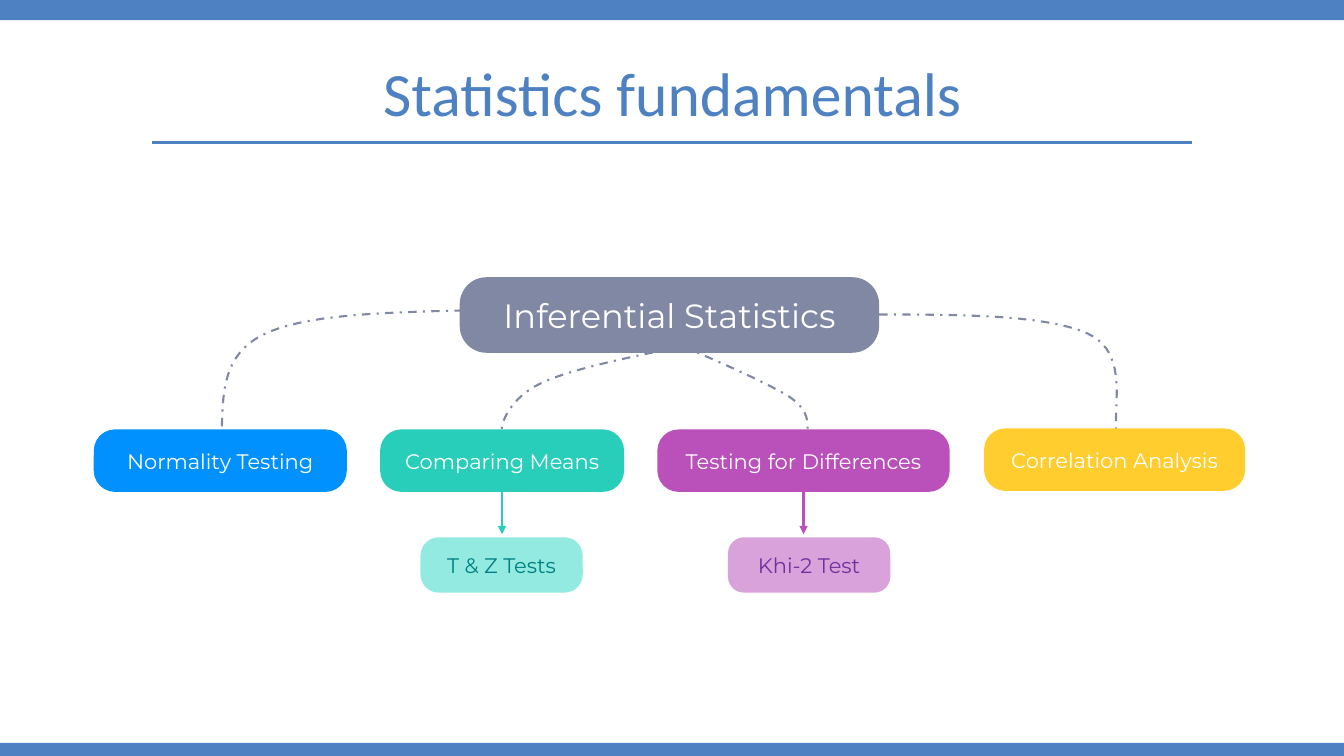
from pptx import Presentation
from pptx.dml.color import RGBColor as RGB
from pptx.enum.dml import MSO_LINE as Dash
from pptx.enum.shapes import MSO_CONNECTOR as Conn, MSO_SHAPE as Kind
from pptx.enum.text import MSO_ANCHOR as Anchor, PP_ALIGN as Align
from pptx.oxml.ns import qn
from pptx.util import Inches, Pt
from lxml.etree import SubElement as Sub

BLUE = RGB(0x4E, 0x81, 0xC2)
GREY = RGB(0x81, 0x88, 0xA4)
SKY = RGB(0x00, 0x91, 0xFE)
MINT = RGB(0x28, 0xCE, 0xBA)
PLUM = RGB(0xBA, 0x50, 0xB9)
GOLD = RGB(0xFF, 0xCD, 0x2D)
AQUA = RGB(0x92, 0xEA, 0xE0)
PINK = RGB(0xDA, 0xA2, 0xDA)
TEAL = RGB(0x00, 0x80, 0x80)
GRAPE = RGB(0x70, 0x30, 0xA0)
WHITE = RGB(0xFF, 0xFF, 0xFF)
WIDE, HIGH = 13.33, 7.5

TOPICS = [
    ("Normality Testing", 0.93, 4.26, 2.51, SKY),
    ("Comparing Means", 3.77, 4.26, 2.42, MINT),
    ("Testing for Differences", 6.52, 4.26, 2.9, PLUM),
    ("Correlation Analysis", 9.76, 4.25, 2.59, GOLD),
]
TESTS = [
    ("T & Z Tests", 4.17, 0.33, AQUA, TEAL, "Comparing Means"),
    ("Khi-2 Test", 7.22, 0.29, PINK, GRAPE, "Testing for Differences"),
]
CURVES = [
    [(0.03, 0.33), (-0.76, 0.35), (-1.55, 0.37), (-1.95, 0.57),
     (-2.35, 0.77), (-2.35, 1.14), (-2.36, 1.52)],
    [(3.93, 0.37), (4.86, 0.37), (5.79, 0.36), (6.23, 0.56),
     (6.66, 0.75), (6.46, 1.36), (6.52, 1.56)],
    [(2.14, 0.7), (1.61, 0.81), (1.07, 0.92), (0.79, 1.06),
     (0.5, 1.2), (0.4, 1.46), (0.42, 1.52)],
    [(2.01, 0.6), (2.51, 0.81), (3.01, 1.03), (3.26, 1.18),
     (3.5, 1.34), (3.43, 1.47), (3.46, 1.55)],
]


def write(shape, text, size=15, font="Montserrat", color=WHITE, wrap=True):
    """Put one centred line of text into a shape."""
    frame = shape.text_frame
    frame.word_wrap = wrap
    frame.vertical_anchor = Anchor.MIDDLE
    para = frame.paragraphs[0]
    para.alignment = Align.CENTER
    run = para.add_run()
    run.text = text
    run.font.size, run.font.name = Pt(size), font
    run.font.color.rgb = color


def block(slide, box, fill, kind=Kind.RECTANGLE, curve=None):
    """Draw a plain filled shape in a box given in inches."""
    shape = slide.shapes.add_shape(kind, *map(Inches, box))
    shape.shadow.inherit = False
    shape.fill.solid()
    shape.fill.fore_color.rgb = fill
    shape.line.fill.background()
    if curve is not None:
        shape.adjustments[0] = curve
    return shape


def node(slide, box, fill, text, curve=0.34, **style):
    """Draw a rounded box with its label."""
    shape = block(slide, box, fill, Kind.ROUNDED_RECTANGLE, curve)
    write(shape, text, **style)
    return shape


def link(slide, start, end, color, width):
    """Draw a straight line between two points."""
    line = slide.shapes.add_connector(
        Conn.STRAIGHT, *map(Inches, (*start, *end)))
    line.line.color.rgb = color
    line.line.width = Pt(width)
    Sub(line._element.spPr, qn("a:effectLst"))
    return line


def trace(knots, steps=16):
    """List the points along a chain of cubic curves."""
    spots = [knots[0]]
    for i in range(0, len(knots) - 1, 3):
        for step in range(1, steps + 1):
            t = step / steps
            u = 1 - t
            parts = (u ** 3, 3 * u * u * t, 3 * u * t * t, t ** 3)
            spots.append(tuple(
                sum(k * p[axis] for k, p in zip(parts, knots[i:i + 4]))
                for axis in (0, 1)))
    return spots


def branch(slide, box, knots):
    """Draw a dashed curve with knots relative to the box corner."""
    left, top = box[:2]
    spots = [(Inches(left + x), Inches(top + y)) for x, y in trace(knots)]
    build = slide.shapes.build_freeform(*spots[0])
    build.add_line_segments(spots[1:], close=False)
    curve = build.convert_to_shape()
    curve.shadow.inherit = False
    curve.fill.background()
    curve.line.color.rgb = GREY
    curve.line.width = Pt(1.5)
    curve.line.dash_style = Dash.DASH_DOT


def bars(slide, box):
    """Draw the bands along the top and bottom of the box."""
    left, top, width, height = box
    block(slide, (left, top, width, 0.2), BLUE)
    block(slide, (left, top + height - 0.13, width, 0.13), BLUE)


def header(slide, box):
    """Draw the title and the rule beneath it."""
    left, top, width, height = box
    title = slide.shapes.add_textbox(*map(Inches, box))
    write(title, "Statistics fundamentals", size=44, font="Calibri",
          color=BLUE, wrap=False)
    rule = top + height + 0.08
    link(slide, (left - 0.61, rule), (left + width + 0.6, rule), BLUE, 2.25)


def tree(slide, box):
    """Draw the root box, its topics and their tests."""
    for knots in CURVES:
        branch(slide, box, knots)
    node(slide, box, GREY, "Inferential Statistics", curve=0.355, size=24)
    top = box[1]
    hosts = {}
    for text, x, y, width, fill in TOPICS:
        shape = node(slide, (x, y, width, 0.62), fill, text)
        hosts[text] = shape, x + width / 2, y + 0.62, fill
    for text, x, curve, fill, color, host in TESTS:
        node(slide, (x, top + 2.58, 1.61, 0.55), fill, text, curve,
             color=color)
        shape, mid, foot, tint = hosts[host]
        arrow = link(slide, (mid, foot), (mid, top + 2.55), tint, 1.5)
        arrow.begin_connect(shape, 2)
        Sub(arrow.line._get_or_add_ln(), qn("a:tailEnd"), type="triangle")


def main():
    """Build and save the slide."""
    deck = Presentation()
    deck.slide_width, deck.slide_height = Inches(WIDE), Inches(HIGH)
    slide = deck.slides.add_slide(deck.slide_layouts[6])
    bars(slide, (0, 0, WIDE, HIGH))
    header(slide, (2.12, 0.49, 9.1, 0.84))
    tree(slide, (4.56, 2.75, 4.16, 0.75))
    deck.save("out.pptx")


if __name__ == "__main__":
    main()
